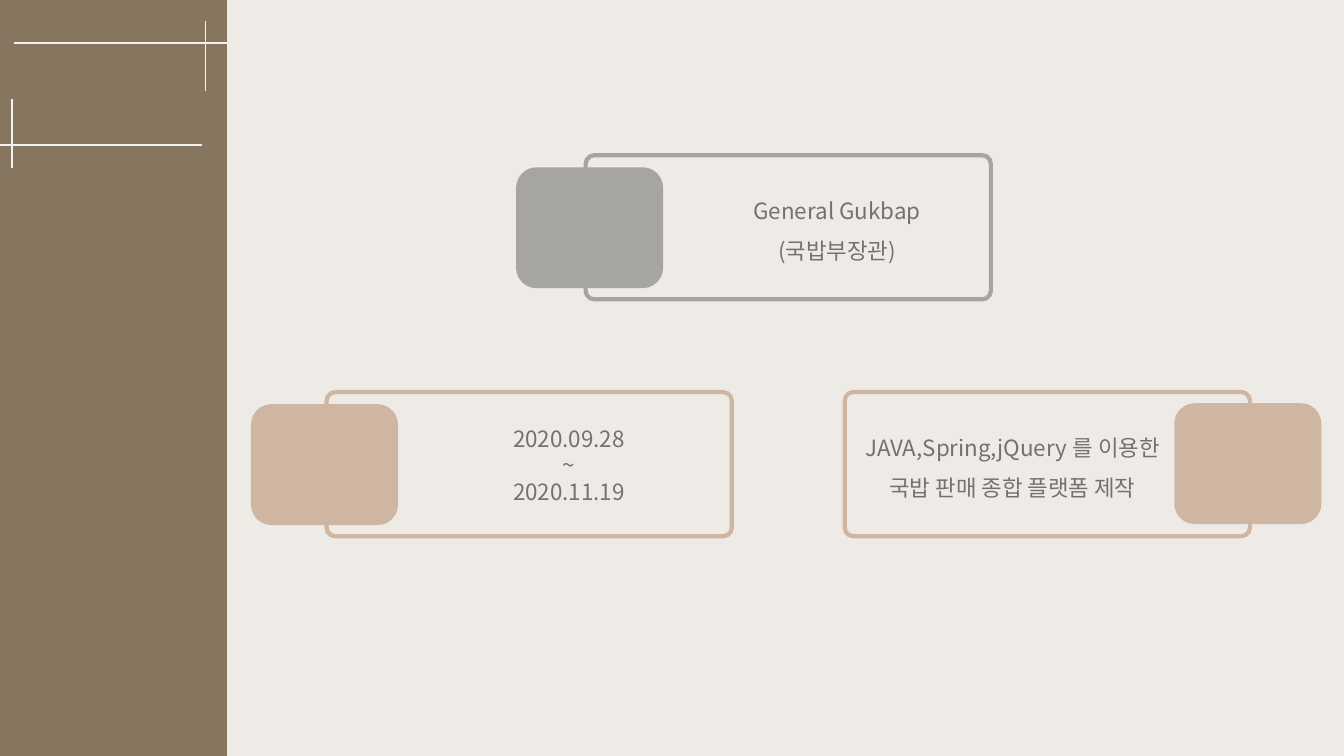
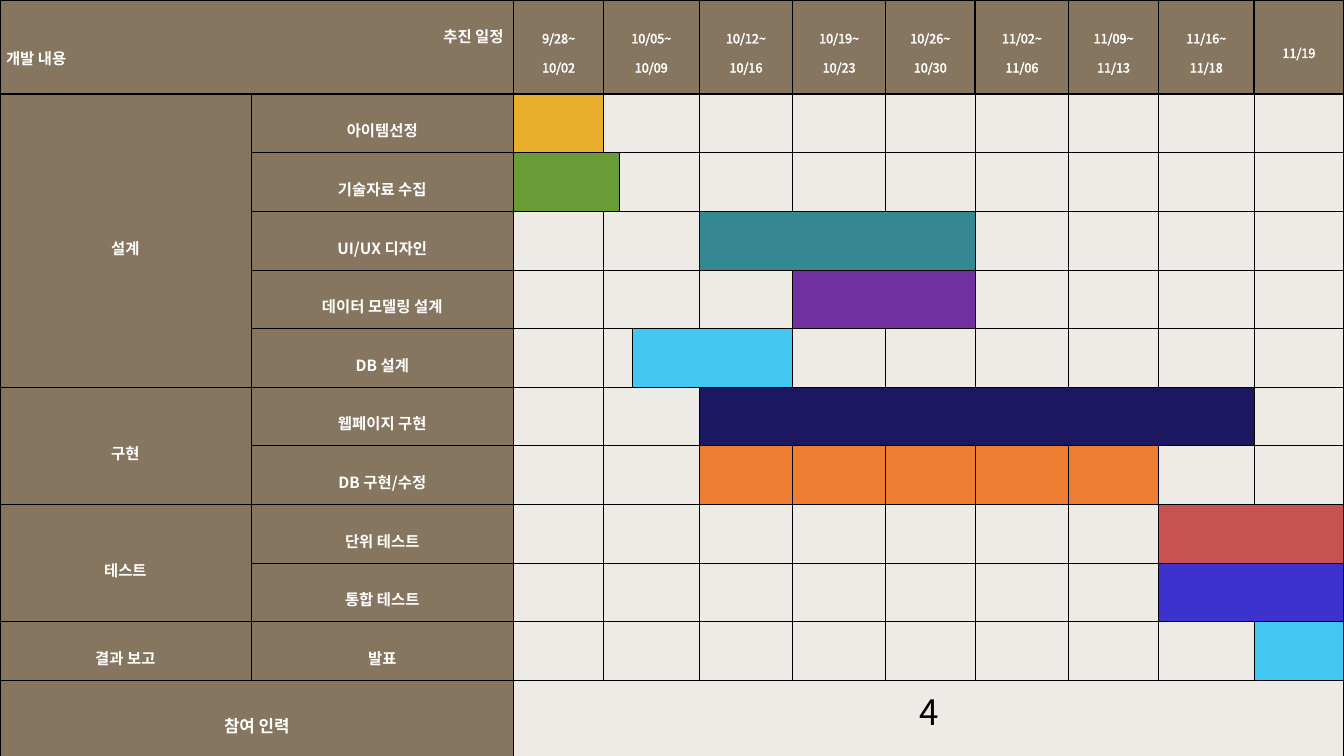
import lxml.etree
import pptx
import pptx.dml.color
import pptx.enum.shapes
import pptx.enum.text
import pptx.oxml.ns
import pptx.util

FONT = "Noto Sans CJK KR"
COLORS = {
    "paper": "EEEBE6", "brown": "86755F", "rule": "F2F2F2", "gray": "A7A5A2",
    "sand": "CEB6A2", "text": "767171", "white": "FFFFFF", "black": "000000",
    "amber": "E9AE2B", "green": "699B37", "teal": "358791", "purple": "7030A0",
    "sky": "42C7F1", "navy": "1B1760", "orange": "ED7D31", "red": "C75252",
    "blue": "3C32CD",
}
WIDTH, HEIGHT = pptx.util.Inches(13.333), pptx.util.Inches(7.5)
GRID_COLUMNS, GRID_ROWS = 160, 90
SHAPES = pptx.enum.shapes.MSO_SHAPE
ALIGN = pptx.enum.text.PP_ALIGN
MIDDLE = pptx.enum.text.MSO_ANCHOR.MIDDLE

CARD_SIZE = (48.24, 17.16)
CHIP_SIZE = (17.52, 14.4)
TEXT_SIZE = (39.24, 10.8)
CARDS = [
    {"at": (69.72, 18.48), "tone": "gray", "chip": (-8.28, 1.44),
     "text": (10.32, 2.76), "spacing": 1.5, "lines": ["General Gukbap", "(국밥부장관)"]},
    {"at": (38.88, 46.68), "tone": "sand", "chip": (-9, 1.44),
     "text": (9.24, 3.3), "spacing": 1, "lines": ["2020.09.28", "~", "2020.11.19"]},
    {"at": (100.56, 46.68), "tone": "sand", "chip": (39.24, 1.32),
     "text": (0.36, 2.84), "spacing": 1.5,
     "lines": ["JAVA,Spring,jQuery 를 이용한", "국밥 판매 종합 플랫폼 제작"]},
]
RULES = [
    (27, 5.16, 1.68, 5.16), (24, 17.28, 0, 17.28),
    (24.48, 2.52, 24.48, 10.8), (1.44, 11.76, 1.44, 20.04),
]

COLUMN_SHARES = [2.49, 2.61, 0.89, 0.16, 0.13, 0.66, 0.93, 0.92, 0.89, 0.93, 0.89, 0.95, 0.89]
ROW_SHARES = [0.93] + [0.58] * 10 + [0.75]
SPLIT_WEEK = range(3, 6)
WEEKS = {
    2: ["9/28~", "10/02"], 3: ["10/05~", "10/09"], 6: ["10/12~", "10/16"],
    7: ["10/19~", "10/23"], 8: ["10/26~", "10/30"], 9: ["11/02~", "11/06"],
    10: ["11/09~", "11/13"], 11: ["11/16~", "11/18"], 12: ["11/19"],
}
PHASES = [("설계", 5), ("구현", 2), ("테스트", 2), ("결과 보고", 1)]
TASKS = [
    ("아이템선정", 2, 2, "amber", True),
    ("기술자료 수집", 2, 3, "green", True),
    ("UI/UX 디자인", 6, 8, "teal", True),
    ("데이터 모델링 설계", 7, 8, "purple", True),
    ("DB 설계", 5, 6, "sky", True),
    ("웹페이지 구현", 6, 11, "navy", True),
    ("DB 구현/수정", 6, 10, "orange", False),
    ("단위 테스트", 11, 12, "red", True),
    ("통합 테스트", 11, 12, "blue", True),
    ("발표", 12, 12, "sky", True),
]


def color(name):
    """Return the named colour."""
    return pptx.dml.color.RGBColor.from_string(COLORS[name])


def across(columns):
    """Turn grid columns into a length."""
    return round(WIDTH * columns / GRID_COLUMNS)


def down(rows):
    """Turn grid rows into a length."""
    return round(HEIGHT * rows / GRID_ROWS)


def place(box):
    """Turn a grid box into left, top, width and height."""
    left, top, width, height = box
    return across(left), down(top), across(width), down(height)


def add_line_fill(line, tone):
    """Give an XML line a solid colour."""
    fill = lxml.etree.SubElement(line, pptx.oxml.ns.qn("a:solidFill"))
    lxml.etree.SubElement(fill, pptx.oxml.ns.qn("a:srgbClr"), val=COLORS[tone])


def write(frame, lines, size, tone, bold=False, spacing=1, aligns=(ALIGN.CENTER,),
          outlined=False):
    """Write one paragraph per line, cycling through the alignments."""
    for index, line in enumerate(lines):
        para = frame.add_paragraph() if index else frame.paragraphs[0]
        para.alignment = aligns[index % len(aligns)]
        para.line_spacing = spacing
        span = para.add_run()
        span.text = line
        span.font.size = pptx.util.Pt(size)
        span.font.bold = bold
        properties = span.font._element
        if outlined:
            outline = lxml.etree.SubElement(
                properties, pptx.oxml.ns.qn("a:ln"), w=str(pptx.util.Pt(0.75)))
            add_line_fill(outline, tone)
        span.font.color.rgb = color(tone)
        span.font.name = FONT
        lxml.etree.SubElement(properties, pptx.oxml.ns.qn("a:ea"), typeface=FONT)


def add_box(page, box, kind, fill=None, line=None, corner=None):
    """Add a flat preset shape with an optional fill, outline and corner."""
    shape = page.shapes.add_shape(kind, *place(box))
    shape.shadow.inherit = False
    if corner is not None:
        shape.adjustments[0] = corner
    if fill:
        shape.fill.solid()
        shape.fill.fore_color.rgb = color(fill)
    else:
        shape.fill.background()
    if line:
        shape.line.color.rgb = color(line)
        shape.line.width = pptx.util.Pt(3)
    else:
        shape.line.fill.background()


def add_sidebar(page, box):
    """Draw the side band and its crossing rules."""
    left, top = box[:2]
    add_box(page, box, SHAPES.RECTANGLE, fill="brown")
    for x1, y1, x2, y2 in RULES:
        rule = page.shapes.add_connector(
            pptx.enum.shapes.MSO_CONNECTOR.STRAIGHT,
            across(left + x1), down(top + y1), across(left + x2), down(top + y2))
        rule.line.color.rgb = color("rule")
        rule.line.width = pptx.util.Pt(1.25)
        lxml.etree.SubElement(rule._element.spPr, pptx.oxml.ns.qn("a:effectLst"))


def add_card(page, box, card):
    """Draw an outlined card with its chip and text."""
    left, top = box[:2]
    chip_left, chip_top = card["chip"]
    text_left, text_top = card["text"]
    add_box(page, box, SHAPES.ROUNDED_RECTANGLE, line=card["tone"], corner=0.06)
    chip_box = (left + chip_left, top + chip_top) + CHIP_SIZE
    add_box(page, chip_box, SHAPES.ROUNDED_RECTANGLE, fill=card["tone"], corner=0.17)
    text = page.shapes.add_textbox(*place((left + text_left, top + text_top) + TEXT_SIZE))
    text.text_frame.word_wrap = True
    write(text.text_frame, card["lines"], 16, "text", spacing=card["spacing"])


def style_cell(cell, border):
    """Give a cell black borders and no fill."""
    properties = cell._tc.get_or_add_tcPr()
    for side in ("lnL", "lnR", "lnT", "lnB"):
        line = lxml.etree.SubElement(
            properties, pptx.oxml.ns.qn("a:" + side), w=str(pptx.util.Pt(border)))
        add_line_fill(line, "black")
    cell.fill.background()


def paint(cell, tone):
    """Fill a cell with a named colour."""
    cell.fill.solid()
    cell.fill.fore_color.rgb = color(tone)


def label_cell(cell, lines, size=11, bold=True):
    """Turn a cell into a brown label with narrow margins."""
    paint(cell, "brown")
    cell.vertical_anchor = MIDDLE
    cell.margin_left = cell.margin_right = pptx.util.Inches(0.01)
    cell.margin_top = cell.margin_bottom = pptx.util.Inches(0.01)
    write(cell.text_frame, lines, size, "white", bold, 1.6, outlined=not bold)


def join(table, row, first, last, last_row=None):
    """Merge a run of cells and return its first cell."""
    cell = table.cell(row, first)
    last_row = last_row or row
    if (row, first) != (last_row, last):
        cell.merge(table.cell(last_row, last))
    return cell


def fill_header(table):
    """Fill the heading row with the corner and the weeks."""
    corner = join(table, 0, 0, 1)
    paint(corner, "brown")
    corner.vertical_anchor = MIDDLE
    corner.margin_left = pptx.util.Inches(0.06)
    write(corner.text_frame, ["추진 일정", "개발 내용"], 11, "white", True,
          aligns=(ALIGN.RIGHT, ALIGN.LEFT))
    join(table, 0, SPLIT_WEEK[0], SPLIT_WEEK[-1])
    for column, lines in WEEKS.items():
        label_cell(table.cell(0, column), lines, 9, False)


def fill_tasks(table):
    """Fill the phases, the task names and their bars."""
    row = 1
    for phase, count in PHASES:
        label_cell(join(table, row, 0, 0, row + count - 1), [phase])
        row += count
    for row, (name, first, last, tone, merged) in enumerate(TASKS, 1):
        label_cell(table.cell(row, 1), [name])
        bar = range(first, last + 1)
        free = [column for column in SPLIT_WEEK if column not in bar]
        join(table, row, free[0], free[-1])
        for column in bar:
            paint(table.cell(row, column), tone)
        if merged:
            join(table, row, first, last)


def add_schedule(page, box):
    """Draw the schedule table inside the given box."""
    left, top, width, height = place(box)
    frame = page.shapes.add_table(
        len(ROW_SHARES), len(COLUMN_SHARES), left, top, width, height)
    table = frame.table
    table.first_row = table.horz_banding = False
    for column, share in zip(table.columns, COLUMN_SHARES):
        column.width = int(width * share / sum(COLUMN_SHARES))
    for row, share in zip(table.rows, ROW_SHARES):
        row.height = int(height * share / sum(ROW_SHARES))
    for index, row in enumerate(table.rows):
        for cell in row.cells:
            style_cell(cell, 0.5 if index else 1)
    fill_header(table)
    fill_tasks(table)
    last_row, last_column = len(ROW_SHARES) - 1, len(COLUMN_SHARES) - 1
    label_cell(join(table, last_row, 0, 1), ["참여 인력"], 12)
    people = join(table, last_row, 2, last_column)
    write(people.text_frame, ["4"], 25, "black", outlined=True)


def build_overview(deck):
    """Build the project overview slide."""
    page = deck.slides.add_slide(deck.slide_layouts[6])
    add_sidebar(page, (0, 0, 27, GRID_ROWS))
    for card in CARDS:
        add_card(page, card["at"] + CARD_SIZE, card)


def build_schedule(deck):
    """Build the schedule slide."""
    page = deck.slides.add_slide(deck.slide_layouts[6])
    add_schedule(page, (0, 0, GRID_COLUMNS, GRID_ROWS))


def main():
    """Build the deck and save it."""
    deck = pptx.Presentation()
    deck.slide_width, deck.slide_height = WIDTH, HEIGHT
    backdrop = deck.slide_master.background.fill
    backdrop.solid()
    backdrop.fore_color.rgb = color("paper")
    build_overview(deck)
    build_schedule(deck)
    deck.save("out.pptx")


if __name__ == "__main__":
    main()
